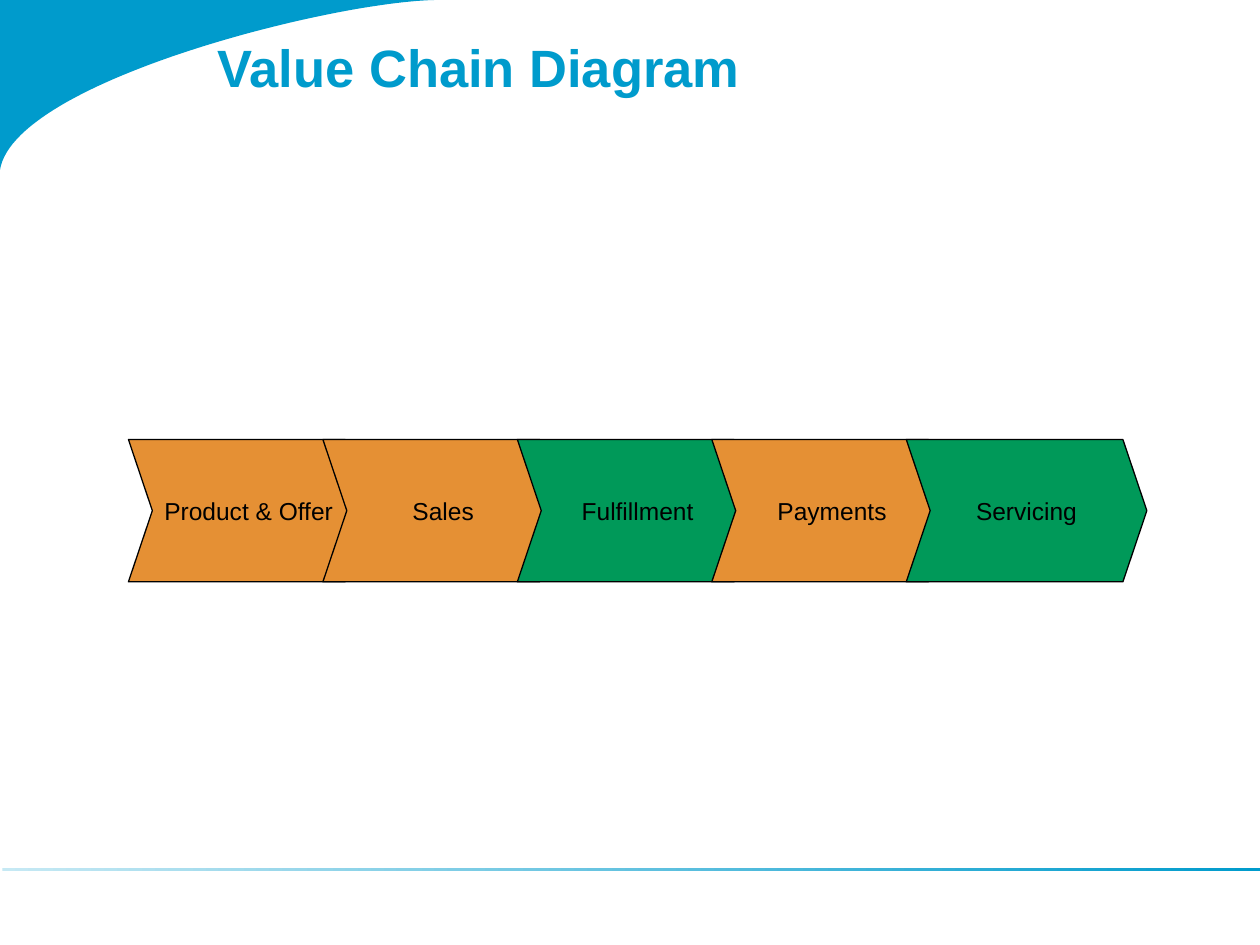
from pptx import Presentation
from pptx.dml.color import RGBColor
from pptx.enum.shapes import MSO_SHAPE
from pptx.enum.text import MSO_ANCHOR, PP_ALIGN
from pptx.util import Cm, Pt

BLUE = RGBColor(0x00, 0x9B, 0xCC)
PALE_BLUE = RGBColor(0xC6, 0xE9, 0xF4)
ORANGE = RGBColor(0xE5, 0x90, 0x34)
GREEN = RGBColor(0x00, 0x99, 0x59)
BLACK = RGBColor(0, 0, 0)
FONT = "Arial"

TITLE = "Value Chain Diagram"
STAGES = [
    ("Product & Offer", ORANGE),
    ("Sales", ORANGE),
    ("Fulfillment", GREEN),
    ("Payments", ORANGE),
    ("Servicing", GREEN),
]

# Chain geometry in centimetres
CHAIN_LEFT, CHAIN_TOP = 2.59, 8.86
STAGE_WIDTH, STAGE_HEIGHT, STAGE_PITCH = 4.85, 2.87, 3.92
POINT_DEPTH = 0.168

# Bezier control points of the corner's curved edge, in centimetres
CORNER_CURVE = [(0, 3.43), (0.28, 1.63), (6.81, 0), (8.86, 0)]
CURVE_STEPS = 60


def curve_point(t):
    weights = ((1 - t) ** 3, 3 * t * (1 - t) ** 2, 3 * t * t * (1 - t), t ** 3)
    return tuple(
        Cm(sum(w * p[axis] for w, p in zip(weights, CORNER_CURVE)))
        for axis in (0, 1)
    )


def write(frame, text, size, color, margins, bold=False):
    frame.word_wrap = True
    (frame.margin_left, frame.margin_top,
     frame.margin_right, frame.margin_bottom) = map(Cm, margins)
    run = frame.paragraphs[0].add_run()
    run.text = text
    font = run.font
    font.name, font.size, font.bold = FONT, Pt(size), bold
    font.color.rgb = color


presentation = Presentation()
presentation.slide_width = Cm(25.4)
presentation.slide_height = Cm(19.05)
slide = presentation.slides.add_slide(presentation.slide_layouts[6])

# Curved corner
outline = slide.shapes.build_freeform(0, 0)
outline.add_line_segments(
    [curve_point(step / CURVE_STEPS) for step in range(CURVE_STEPS + 1)]
)
corner = outline.convert_to_shape()
corner.shadow.inherit = False
corner.fill.solid()
corner.fill.fore_color.rgb = BLUE
corner.line.fill.background()

# Footer rule fading from pale to full blue
rule = slide.shapes.add_shape(
    MSO_SHAPE.RECTANGLE, Cm(0.05), Cm(17.5), Cm(25.35), Cm(0.06)
)
rule.shadow.inherit = False
rule.fill.gradient()
rule.fill.gradient_angle = 0
for stop, color in zip(rule.fill.gradient_stops, (PALE_BLUE, BLUE)):
    stop.color.rgb = color
rule.line.fill.background()

# Title
title = slide.shapes.add_textbox(Cm(4.19), 0, Cm(17.81), Cm(3.73))
write(title.text_frame, TITLE, 30, BLUE, (0.2, 0.71, 0.2, 0.1), bold=True)

# Chain of overlapping stages
chain = slide.shapes.add_group_shape()
for index, (label, color) in enumerate(STAGES):
    stage = chain.shapes.add_shape(
        MSO_SHAPE.CHEVRON,
        Cm(CHAIN_LEFT + index * STAGE_PITCH), Cm(CHAIN_TOP),
        Cm(STAGE_WIDTH), Cm(STAGE_HEIGHT),
    )
    stage.adjustments[0] = POINT_DEPTH
    stage.shadow.inherit = False
    stage.fill.solid()
    stage.fill.fore_color.rgb = color
    stage.line.color.rgb = BLACK
    stage.line.width = Pt(0.75)
    write(stage.text_frame, label, 14, BLACK, (0.1,) * 4)
    stage.text_frame.vertical_anchor = MSO_ANCHOR.MIDDLE
    stage.text_frame.paragraphs[0].alignment = PP_ALIGN.CENTER

presentation.save("out.pptx")
